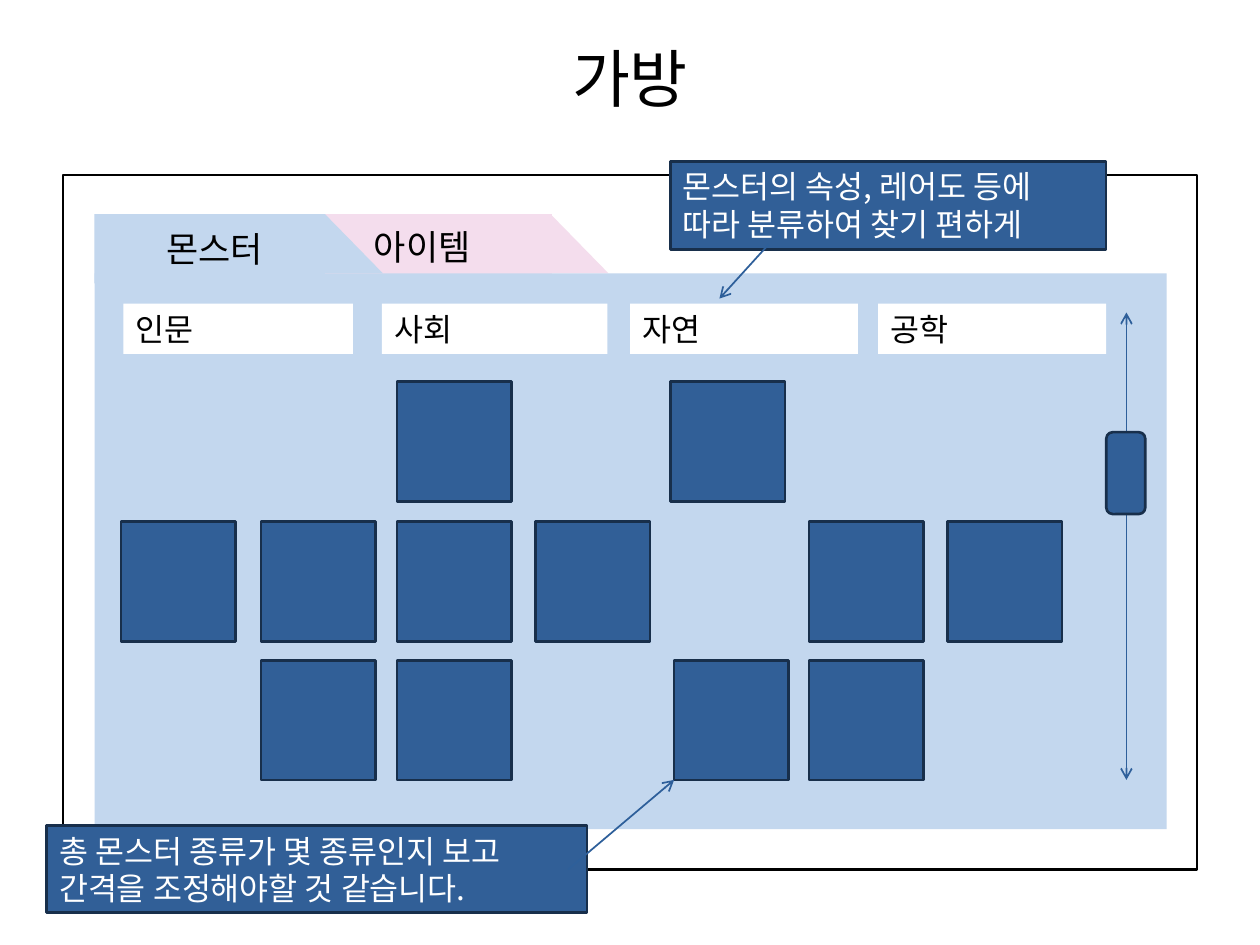
from pptx import Presentation
from pptx.dml.color import RGBColor
from pptx.enum.shapes import MSO_CONNECTOR, MSO_SHAPE
from pptx.enum.text import MSO_ANCHOR, MSO_AUTO_SIZE, PP_ALIGN
from pptx.oxml.ns import qn
from pptx.util import Inches, Pt
from lxml import etree

RECT = MSO_SHAPE.RECTANGLE
ROUND = MSO_SHAPE.ROUNDED_RECTANGLE
WEDGE = MSO_SHAPE.RIGHT_TRIANGLE
STRAIGHT = MSO_CONNECTOR.STRAIGHT
TOP, MIDDLE = MSO_ANCHOR.TOP, MSO_ANCHOR.MIDDLE
LEFT, CENTER = PP_ALIGN.LEFT, PP_ALIGN.CENTER
GROW = MSO_AUTO_SIZE.SHAPE_TO_FIT_TEXT
FIXED = MSO_AUTO_SIZE.NONE

BLACK = RGBColor(0x00, 0x00, 0x00)
WHITE = RGBColor(0xFF, 0xFF, 0xFF)
PINK = RGBColor(0xF4, 0xDD, 0xED)
PALE = RGBColor(0xC3, 0xD7, 0xEE)
BLUE = RGBColor(0x31, 0x5F, 0x97)
NAVY = RGBColor(0x18, 0x2F, 0x4B)
ARROW = RGBColor(0x2E, 0x5F, 0x9A)
FONT = "Noto Sans CJK KR"


class Board:
    def __init__(self, slide):
        self.slide = slide

    def put_text(self, shape, text, size, color, align=LEFT, anchor=TOP, fit=GROW):
        frame = shape.text_frame
        look = {"word_wrap": True, "auto_size": fit, "vertical_anchor": anchor}
        for name, value in look.items():
            setattr(frame, name, value)
        para = frame.paragraphs[0]
        para.alignment = align
        run = para.add_run()
        run.text = text
        for name, value in {"name": FONT, "size": Pt(size)}.items():
            setattr(run.font, name, value)
        run.font.color.rgb = color
        east = etree.SubElement(run.font._element, qn("a:ea"))
        east.set("typeface", FONT)

    def label(self, box, text, size, **look):
        shape = self.slide.shapes.add_textbox(*map(Inches, box))
        self.put_text(shape, text, size, BLACK, **look)

    def block(self, box, fill=None, line=None, kind=RECT):
        shape = self.slide.shapes.add_shape(kind, *map(Inches, box))
        shape.shadow.inherit = False
        if fill is None:
            shape.fill.background()
        else:
            shape.fill.solid()
            shape.fill.fore_color.rgb = fill
        if line is None:
            shape.line.fill.background()
        else:
            shape.line.color.rgb = line
            shape.line.width = Pt(1.5)
        return shape

    def note(self, box, text):
        self.put_text(self.block(box, BLUE, NAVY), text, 18, WHITE)

    def arrow(self, start, end, tips=("tailEnd",)):
        line = self.slide.shapes.add_connector(
            STRAIGHT, *map(Inches, start + end))
        line.line.color.rgb = ARROW
        line.line.width = Pt(1)
        stroke = line.line._get_or_add_ln()
        for tip in tips:
            etree.SubElement(stroke, qn(f"a:{tip}")).set("type", "arrow")
        etree.SubElement(line._element.spPr, qn("a:effectLst"))


def main():
    deck = Presentation()
    deck.slide_width, deck.slide_height = Inches(10), Inches(7.5)
    board = Board(deck.slides.add_slide(deck.slide_layouts[6]))

    board.block((2.52, 1.7, 1.86, 0.55), PINK)
    board.block((0.75, 1.7, 1.83, 0.55), PALE)
    board.block((4.37, 1.7, 0.46, 0.47), PINK, kind=WEDGE)
    board.label((0.5, 0.3, 9, 0.62), "가방", 36,
                align=CENTER, anchor=MIDDLE, fit=FIXED)
    board.block((0.5, 1.39, 9, 5.51), line=BLACK)
    board.block((0.75, 2.17, 8.51, 4.41), PALE)
    board.label((1.22, 1.76, 1.3, 0.43), "몬스터", 20)
    board.label((2.87, 1.74, 1.46, 0.43), "아이템", 20)
    board.block((2.58, 1.7, 0.46, 0.47), PALE, kind=WEDGE)

    fields = (("인문", 0.98, 1.82), ("사회", 3.03, 1.79),
              ("자연", 5, 1.81), ("공학", 6.97, 1.81))
    for text, left, width in fields:
        field = board.block((left, 2.41, width, 0.4), WHITE)
        board.put_text(field, text, 18, BLACK)

    board.arrow((8.94, 2.48), (8.94, 6.19), ("headEnd", "tailEnd"))
    board.block((8.78, 3.43, 0.31, 0.65), BLUE, NAVY, ROUND)
    board.note((5.32, 1.28, 3.46, 0.7),
               "몬스터의 속성, 레어도 등에 따라 분류하여 찾기 편하게")
    board.arrow((6.1, 1.94), (5.71, 2.37))

    rows = {
        3.03: (3.15, 5.32),
        4.14: (0.96, 2.07, 3.15, 4.25, 6.42, 7.52),
        5.24: (2.07, 3.15, 5.35, 6.42),
    }
    for top, lefts in rows.items():
        for left in lefts:
            board.block((left, top, 0.91, 0.95), BLUE, NAVY)

    board.note((0.37, 6.55, 4.29, 0.69),
               "총 몬스터 종류가 몇 종류인지 보고 간격을 조정해야할 것 같습니다.")
    board.arrow((4.51, 6.9), (5.35, 6.19))
    deck.save("out.pptx")


if __name__ == "__main__":
    main()
